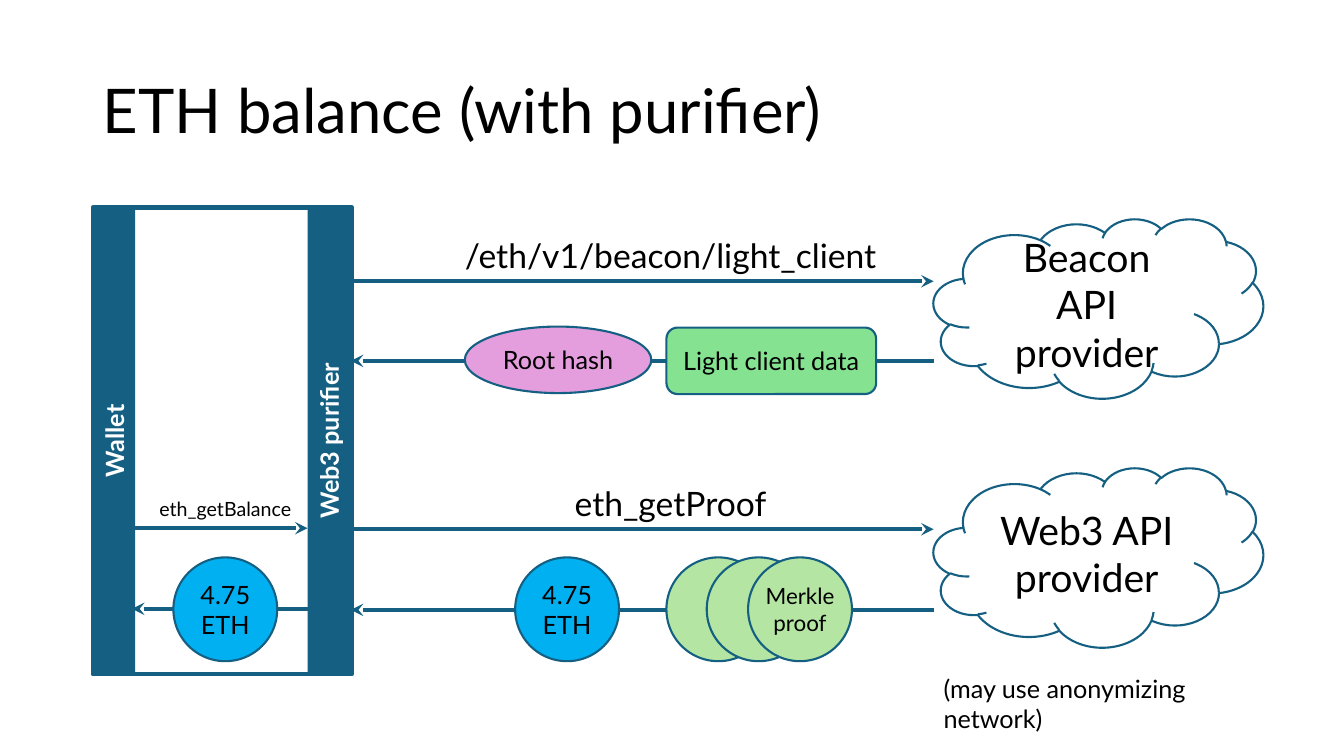
import pptx
import pptx.dml.color
import pptx.enum.shapes
import pptx.enum.text
import pptx.oxml.ns
import pptx.util
from lxml import etree

SHAPE = pptx.enum.shapes.MSO_SHAPE
ALIGN = pptx.enum.text.PP_ALIGN
ANCHOR = pptx.enum.text.MSO_ANCHOR
PX = 9144  # EMU, 100 px to the inch

THEME = {
    "font": "Lato",
    "color": {"line": "156082", "text": "000000", "paper": "FFFFFF", "root": "E59EDD",
              "client": "84E291", "balance": "00B0F0", "proof": "B4E5A2"},
    "size": {"title": 44, "cloud": 28, "call": 24, "item": 18, "proof": 16, "small": 14},
    "line": {"thick": 3, "thin": 1.5},
}

SLIDE = (1333, 750)
TOP, HEIGHT = 206, 463
BAR_W, CIRCLE, CIRCLE_TOP = 42, 103, 553
WALLET_X, PURIFIER_X, PROVIDER_X = 92, 305, 926

# left, right, y, end that carries the arrowhead
ARROWS = [
    (348, PROVIDER_X, 279, "tailEnd"),
    (348, PROVIDER_X, 358, "headEnd"),
    (348, PROVIDER_X, 525, "tailEnd"),
    (348, PROVIDER_X, 605, "headEnd"),
    (131, PURIFIER_X, 524, "tailEnd"),
    (131, PURIFIER_X, 604, "headEnd"),
]

# text, box, size, alignment, anchor, line spacing
LABELS = [
    ("ETH balance (with purifier)", (92, 40, 1150, 145), "title", ALIGN.LEFT, ANCHOR.MIDDLE, 0.9),
    ("/eth/v1/beacon/light_client", (434, 228, 462, 50), "call", ALIGN.CENTER, ANCHOR.TOP, 1.0),
    ("eth_getProof", (434, 474, 462, 50), "call", ALIGN.CENTER, ANCHOR.TOP, 1.0),
    ("eth_getBalance", (14, 488, 419, 34), "small", ALIGN.CENTER, ANCHOR.TOP, 1.0),
    ("(may use anonymizing network)", (PROVIDER_X, 663, 355, 40), "item", ALIGN.LEFT, ANCHOR.TOP, 1.0),
]

CLOUDS = [("Beacon API provider", 217), ("Web3 API provider", 464)]
BARS = [("Wallet", WALLET_X), ("Web3 purifier", PURIFIER_X)]
# text, left, fill, size
CIRCLES = [
    ("4.75 ETH", 172, "balance", "item"),
    ("4.75 ETH", 511, "balance", "item"),
    ("", 661, "proof", "proof"),
    ("", 701, "proof", "proof"),
    ("Merkle proof", 742, "proof", "proof"),
]
# text, preset, box, fill
DATA = [
    ("Root hash", SHAPE.OVAL, (461, 324, 185, 66), "root"),
    ("Light client data", SHAPE.ROUNDED_RECTANGLE, (661, 325, 208, 66), "client"),
]


def px(values):
    return [pptx.util.Emu(v * PX) for v in values]


def rgb(name):
    return pptx.dml.color.RGBColor.from_string(THEME["color"][name])


def set_line(line, weight):
    line.color.rgb = rgb("line")
    line.width = pptx.util.Pt(THEME["line"][weight])


def write(sp, text, size, color="text", bold=False, align=ALIGN.CENTER,
          anchor=ANCHOR.MIDDLE, spacing=1.0):
    tf = sp.text_frame
    tf.word_wrap, tf.vertical_anchor = True, anchor
    p = tf.paragraphs[0]
    p.alignment, p.line_spacing = align, spacing
    r = p.add_run()
    r.text = text
    style = {"name": THEME["font"], "size": pptx.util.Pt(THEME["size"][size]), "bold": bold}
    for key, value in style.items():
        setattr(r.font, key, value)
    r.font.color.rgb = rgb(color)
    return tf


def add_shape(s, preset, box, fill=None, weight="thin"):
    sp = s.shapes.add_shape(preset, *px(box))
    sp.shadow.inherit = False
    if fill:
        sp.fill.solid()
        sp.fill.fore_color.rgb = rgb(fill)
    else:
        sp.fill.background()
    if weight:
        set_line(sp.line, weight)
    else:
        sp.line.fill.background()
    return sp


def add_arrow(s, left, right, y, end):
    c = s.shapes.add_connector(pptx.enum.shapes.MSO_CONNECTOR.STRAIGHT, *px((left, y, right, y)))
    set_line(c.line, "thick")
    qn = pptx.oxml.ns.qn
    etree.SubElement(c.line._get_or_add_ln(), qn("a:" + end), type="stealth")
    etree.SubElement(c._element.spPr, qn("a:effectLst"))


def main():
    prs = pptx.Presentation()
    prs.slide_width, prs.slide_height = px(SLIDE)
    s = prs.slides.add_slide(prs.slide_layouts[6])

    for text, left in BARS:
        bar = add_shape(s, SHAPE.RECTANGLE, (left, TOP, BAR_W, HEIGHT), "line", None)
        tf = write(bar, text, "item", "paper", True)
        tf._txBody.bodyPr.set("vert", "vert270")
    for arrow in ARROWS:
        add_arrow(s, *arrow)
    for text, top in CLOUDS:
        write(add_shape(s, SHAPE.CLOUD, (PROVIDER_X, top, 327, 178), "paper"), text, "cloud")
    for text, preset, box, fill in DATA:
        write(add_shape(s, preset, box, fill), text, "item")
    for text, left, fill, size in CIRCLES:
        sp = add_shape(s, SHAPE.OVAL, (left, CIRCLE_TOP, CIRCLE, CIRCLE), fill)
        if text:
            tf = write(sp, text, size)
            if fill == "proof":
                for side in ("left", "top", "right", "bottom"):
                    setattr(tf, "margin_" + side, 0)
    for text, box, size, align, anchor, spacing in LABELS:
        write(s.shapes.add_textbox(*px(box)), text, size,
              align=align, anchor=anchor, spacing=spacing)
    add_shape(s, SHAPE.RECTANGLE,
              (WALLET_X, TOP, PURIFIER_X + BAR_W - WALLET_X + 2, HEIGHT), weight="thick")
    prs.save("out.pptx")


if __name__ == "__main__":
    main()
